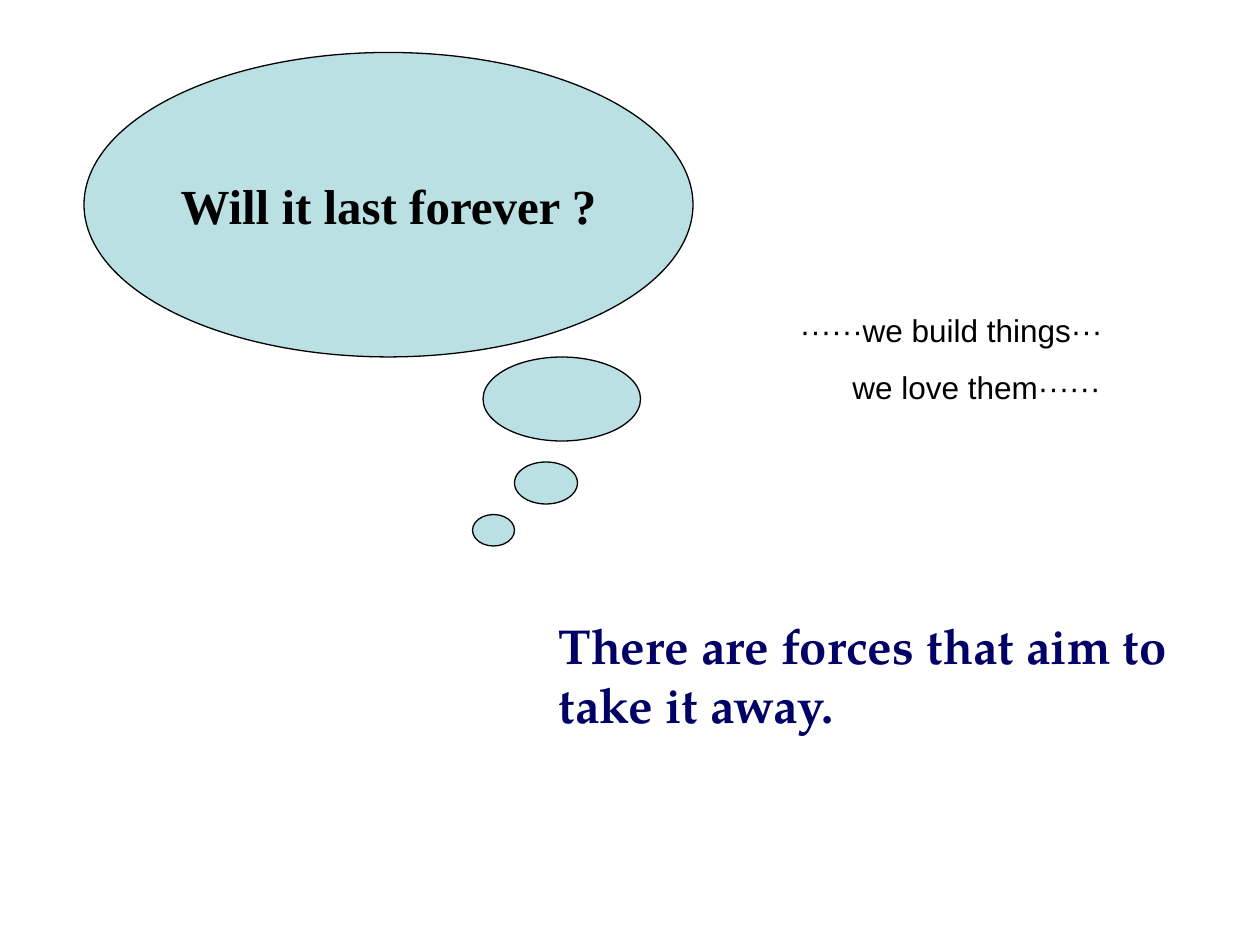
from pptx import Presentation
from pptx.dml.color import RGBColor
from pptx.enum.shapes import MSO_SHAPE as Shape
from pptx.enum.text import MSO_ANCHOR as Anchor, MSO_AUTO_SIZE as AutoSize, PP_ALIGN as Align
from pptx.util import Pt

BUBBLES = [(48, 30, 348, 174), (276, 204, 90, 48), (294, 264, 36, 24), (270, 294, 24, 18)]
QUESTION = {"name": "Times New Roman", "size": Pt(28), "bold": True}
WARNING = {"name": "TeX Gyre Pagella", "size": Pt(28), "bold": True}
MUSING = {"name": "Arial", "size": Pt(18), "bold": False}


def color(hex_code):
    """Return the colour for a hex string."""
    return RGBColor.from_string(hex_code)


def write(paragraph, words, font_format, hex_code, indent=0):
    """Put formatted words in a paragraph, with an optional left indent."""
    if indent:
        properties = paragraph._p.get_or_add_pPr()
        properties.set("marL", str(Pt(indent)))
        properties.set("indent", "0")
    run = paragraph.add_run()
    run.text = words
    for key, value in font_format.items():
        setattr(run.font, key, value)
    run.font.color.rgb = color(hex_code)


def add_bubble(slide, box):
    """Add one outlined ellipse of the thought cloud."""
    bubble = slide.shapes.add_shape(Shape.OVAL, *map(Pt, box))
    bubble.shadow.inherit = False
    bubble.fill.solid()
    bubble.fill.fore_color.rgb = color("BBE0E3")
    bubble.line.color.rgb = color("000000")
    bubble.line.width = Pt(0.75)
    return bubble


def add_thought(slide, words):
    """Add the thought cloud with its words in the largest bubble."""
    cloud, *_ = [add_bubble(slide, box) for box in BUBBLES]
    frame = cloud.text_frame
    frame.word_wrap = False
    frame.vertical_anchor = Anchor.MIDDLE
    frame.paragraphs[0].alignment = Align.CENTER
    write(frame.paragraphs[0], words, QUESTION, "000000")


def add_statement(slide, box, lines, font_format, hex_code, gap=0):
    """Add a wrapped text box from (words, indent) lines."""
    frame = slide.shapes.add_textbox(*map(Pt, box)).text_frame
    frame.word_wrap = True
    frame.auto_size = AutoSize.SHAPE_TO_FIT_TEXT
    for number, (words, indent) in enumerate(lines):
        paragraph = frame.add_paragraph() if number else frame.paragraphs[0]
        if number:
            paragraph.space_before = Pt(gap)
        write(paragraph, words, font_format, hex_code, indent)


def main():
    """Build and save the slide."""
    deck = Presentation()
    deck.slide_width, deck.slide_height = Pt(720), Pt(540)
    slide = deck.slides.add_slide(deck.slide_layouts[6])
    add_thought(slide, "Will it last forever ?")
    add_statement(slide, (312, 348, 384, 75),
                  [("There are forces that aim to take it away.", 0)], WARNING, "000066")
    add_statement(slide, (450, 174, 198, 62),
                  [("······we build things···", 0), ("we love them······", 30)],
                  MUSING, "000000", gap=11.2)
    deck.save("out.pptx")


if __name__ == "__main__":
    main()
